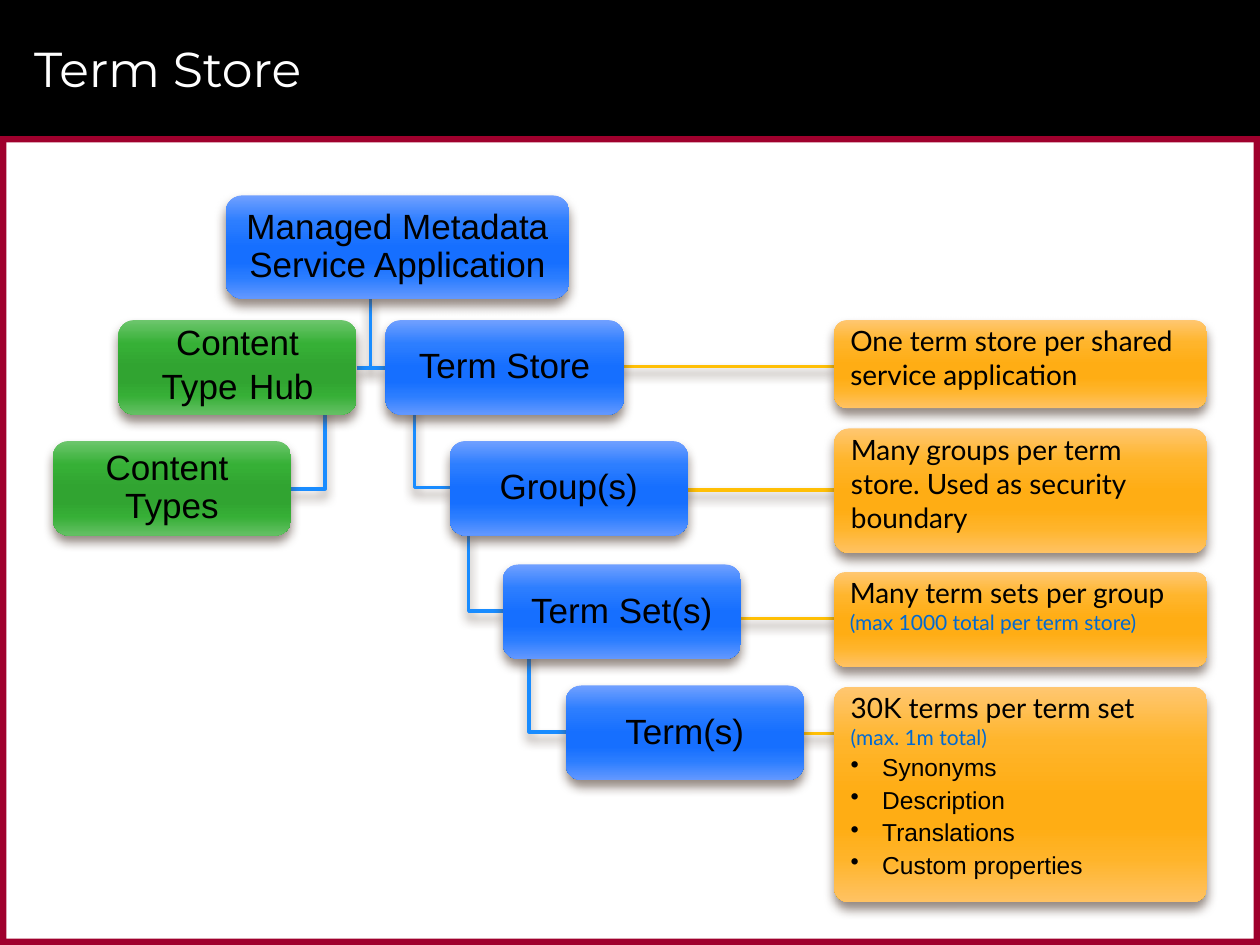
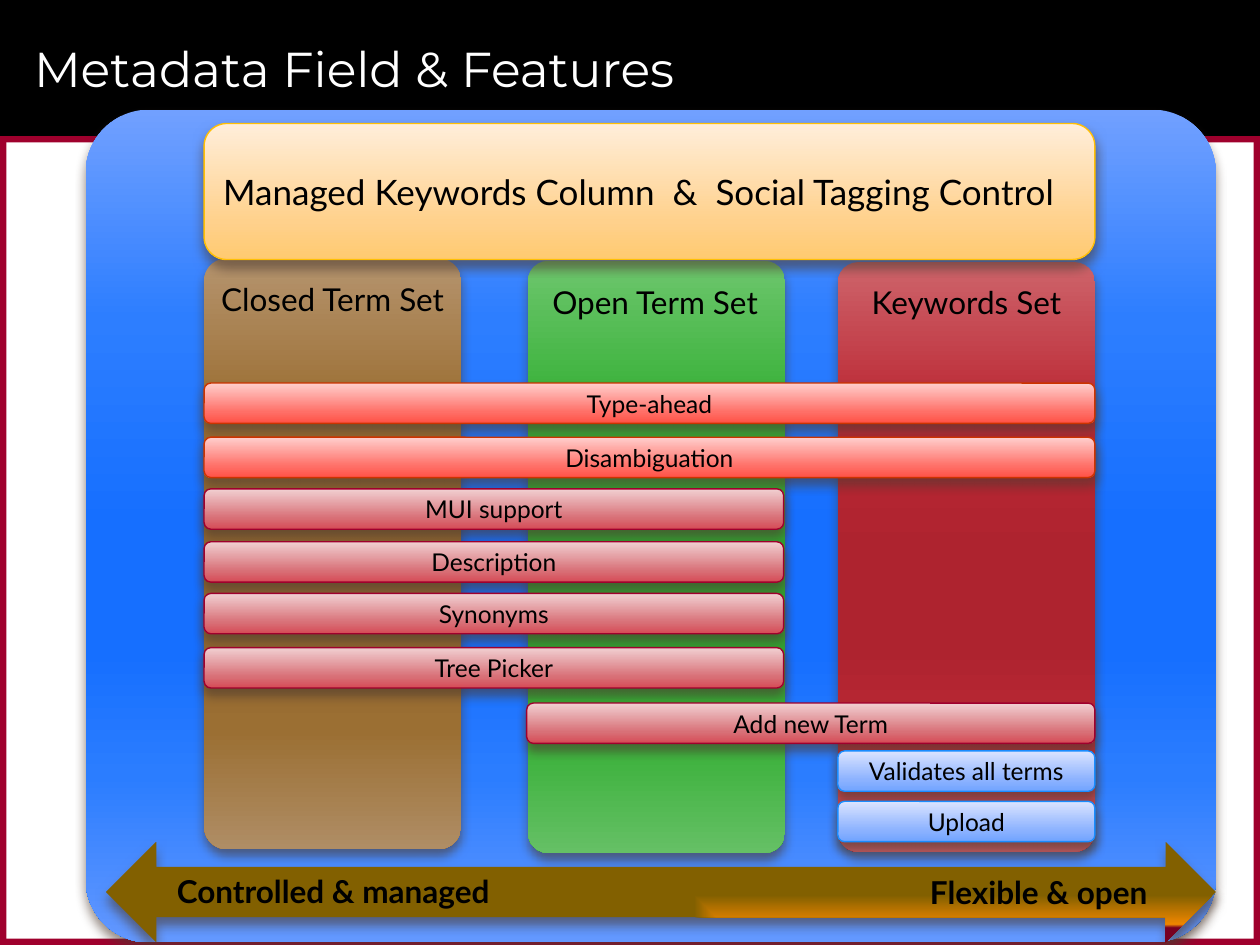
from dataclasses import dataclass
from typing import Optional

import pptx
import pptx.dml.color
import pptx.enum.shapes
import pptx.enum.text
import pptx.oxml.ns
import pptx.util
from lxml import etree

Inches = pptx.util.Inches
Pt = pptx.util.Pt
qn = pptx.oxml.ns.qn
SHAPES = pptx.enum.shapes.MSO_SHAPE
CONNECTORS = pptx.enum.shapes.MSO_CONNECTOR
ALIGN = pptx.enum.text.PP_ALIGN
ANCHOR = pptx.enum.text.MSO_ANCHOR

COLOURS = {
    "black": "000000",
    "white": "FFFFFF",
    "crimson": "9F002D",
    "shadow": "4E3B30",
    "sky": "198CFF",
    "amber": "FFBF05",
    "rust": "CC3300",
    "limit": "0069D2",
}
GRADIENTS = {
    "blue": ("71A0FF", "2D7EFF", "166FFF", "166FFF", "2B7DFF", "6398FF"),
    "green": ("6DC66D", "36B036", "31A431", "31A431", "36AF36", "65C065"),
    "orange": ("FFC771", "FFB52C", "FFAD14", "FFAD14", "FFB42A", "FFC263"),
    "brown": ("B5946E", "9C6F34", "91672F", "91672F", "9B6F33", "AF8D65"),
    "red": ("CE646B", "BB2834", "AE232F", "AE232F", "BA2834", "C95B63"),
    "pale orange": ("FFEEDA", "FFD18C", "FFCA70"),
    "pale red": ("FFCFCD", "FF6F67", "FF5145"),
    "pale crimson": ("F1D0D2", "D87077", "D64B56"),
    "pale blue": ("DBE4FF", "8CB2FF", "71A4FF"),
    "arrow": ("770022", "EE8600", "826000", "826000"),
}
STOPS = {6: (0, 25, 50, 65, 80, 100), 3: (0, 72, 100), 4: (29, 36, 94, 98)}

NODE_W, NODE_H = 1.89, 0.75
NOTE_X, NOTE_W = 6.62, 2.96
COLUMN_W, BAR_H = 2.04, 0.32
CLOSED_X, OPEN_X, KEYWORDS_X = 1.62, 4.18, 6.65
RIGHT_EDGE = 8.69


@dataclass(frozen=True)
class Box:
    x: float
    y: float
    w: float
    h: float
    fill: Optional[str] = None
    text: str = ""
    size: int = 14
    font: str = "Lato"
    line: Optional[str] = None
    adj: Optional[float] = None
    bold: bool = False
    align: ALIGN = ALIGN.CENTER
    inset: float = 0.1
    spacing: Optional[float] = None
    kind: SHAPES = SHAPES.ROUNDED_RECTANGLE


@dataclass(frozen=True)
class Note:
    y: float
    h: float
    adj: float
    text: str
    limit: str = ""
    items: tuple[str, ...] = ()


@dataclass(frozen=True)
class Bar:
    text: str
    y: float
    left: float
    right: float
    fill: str
    line: str


def rgb(name: str) -> pptx.dml.color.RGBColor:
    return pptx.dml.color.RGBColor.from_string(COLOURS[name])


def add_colour(parent, hex_value: str):
    colour = etree.SubElement(parent, qn("a:srgbClr"))
    colour.set("val", hex_value)
    return colour


def add_shadow(drawn) -> None:
    properties = drawn.element.spPr
    effects = properties.find(qn("a:effectLst"))
    if effects is None:
        effects = etree.SubElement(properties, qn("a:effectLst"))
    outer = etree.SubElement(effects, qn("a:outerShdw"))
    settings = {"blurRad": Pt(6), "dist": Pt(4), "dir": 90 * 60000}
    for key, value in settings.items():
        outer.set(key, str(value))
    outer.set("rotWithShape", "0")
    alpha = etree.SubElement(add_colour(outer, COLOURS["shadow"]), qn("a:alpha"))
    alpha.set("val", "60000")


def fill_gradient(shape, name: str) -> None:
    shape.fill.gradient()
    shape.fill.gradient_angle = 270
    gradient = shape.element.spPr.find(qn("a:gradFill"))
    stops = gradient.find(qn("a:gsLst"))
    for stop in list(stops):
        stops.remove(stop)
    colours = GRADIENTS[name]
    for position, hex_value in zip(STOPS[len(colours)], colours):
        stop = etree.SubElement(stops, qn("a:gs"))
        stop.set("pos", str(position * 1000))
        add_colour(stop, hex_value)
    if name == "arrow":
        gradient.remove(gradient.find(qn("a:lin")))
        rays = etree.SubElement(gradient, qn("a:path"))
        rays.set("path", "rect")
        focus = etree.SubElement(rays, qn("a:fillToRect"))
        focus.set("l", "100000")
        focus.set("t", "100000")


def style(paragraph, size: int, font: str, colour: str = "black", bold: bool = False) -> None:
    for run in paragraph.runs:
        run.font.size = Pt(size)
        run.font.name = font
        run.font.bold = bold
        run.font.color.rgb = rgb(colour)


def add_box(slide, box: Box):
    shape = slide.shapes.add_shape(
        box.kind, Inches(box.x), Inches(box.y), Inches(box.w), Inches(box.h))
    shape.shadow.inherit = False
    if box.adj is not None:
        shape.adjustments[0] = box.adj
    if box.fill:
        fill_gradient(shape, box.fill)
        add_shadow(shape)
    else:
        shape.fill.background()
    if box.line:
        shape.line.color.rgb = rgb(box.line)
        shape.line.width = Pt(0.8)
    else:
        shape.line.fill.background()
    frame = shape.text_frame
    frame.margin_left = frame.margin_right = Inches(box.inset)
    frame.margin_top = frame.margin_bottom = Inches(0)
    frame.vertical_anchor = ANCHOR.MIDDLE
    if box.text:
        paragraph = frame.paragraphs[0]
        paragraph.text = box.text
        paragraph.alignment = box.align
        if box.spacing:
            paragraph.line_spacing = box.spacing
        style(paragraph, box.size, box.font, bold=box.bold)
    return shape


def add_node(slide, x: float, y: float, text: str, fill: str = "blue",
             w: float = NODE_W, h: float = NODE_H):
    return add_box(slide, Box(x, y, w, h, fill, text, 20, "Arial", inset=0.01, spacing=0.9))


def add_note(slide, note: Note) -> None:
    shape = add_box(slide, Box(NOTE_X, note.y, NOTE_W, note.h, "orange", note.text, 16,
                               adj=note.adj, align=ALIGN.LEFT))
    frame = shape.text_frame
    frame.vertical_anchor = ANCHOR.TOP
    if note.limit:
        limit = frame.add_paragraph()
        limit.text = note.limit
        limit.alignment = ALIGN.LEFT
        style(limit, 12, "Lato", "limit")
    for text in note.items:
        item = frame.add_paragraph()
        item.text = text
        item.alignment = ALIGN.LEFT
        item.line_spacing = 0.9
        item.space_before = Pt(3.4)
        properties = item._p.get_or_add_pPr()
        properties.set("marL", str(Inches(0.25)))
        properties.set("indent", str(Inches(-0.25)))
        etree.SubElement(properties, qn("a:buChar")).set("char", "•")
        style(item, 14, "Arial")


def add_line(slide, x1: float, y1: float, x2: float, y2: float, colour: str,
             kind: CONNECTORS = CONNECTORS.STRAIGHT):
    line = slide.shapes.add_connector(kind, Inches(x1), Inches(y1), Inches(x2), Inches(y2))
    line.line.color.rgb = rgb(colour)
    line.line.width = Pt(2)
    add_shadow(line)
    return line


def add_elbow(slide, x1: float, y1: float, x2: float, y2: float) -> None:
    length, reach = y2 - y1, abs(x2 - x1)
    left, top = (x1 + x2 - length) / 2, (y1 + y2 - reach) / 2
    elbow = add_line(slide, left, top, left + length, top + reach, "sky", CONNECTORS.ELBOW)
    properties = elbow.element.spPr
    properties.find(qn("a:prstGeom")).set("prst", "bentConnector2")
    frame = properties.find(qn("a:xfrm"))
    turns_right = x2 > x1
    frame.set("rot", str((270 if turns_right else 90) * 60000))
    if turns_right:
        frame.set("flipH", "1")


def add_titled_slide(deck, title: str):
    slide = deck.slides.add_slide(deck.slide_layouts[5])
    heading = slide.shapes.title
    heading.left, heading.top = Inches(0.17), Inches(0.08)
    heading.width, heading.height = Inches(9.42), Inches(0.92)
    heading.text_frame.text = title
    heading.text_frame.vertical_anchor = ANCHOR.MIDDLE
    paragraph = heading.text_frame.paragraphs[0]
    paragraph.alignment = ALIGN.LEFT
    style(paragraph, 28, "Montserrat", "white")
    return slide


def add_master_bands(deck, slide) -> None:
    bands = (
        (0, 0, 10, 1.08, "black"),
        (0, 1.08, 10, 0.05, "crimson"),
        (0, 7.45, 10, 0.05, "crimson"),
        (9.95, 1.08, 0.05, 6.42, "crimson"),
        (0, 1.08, 0.05, 6.42, "crimson"),
    )
    tree = deck.slide_master.element.cSld.spTree
    for index, (x, y, w, h, colour) in enumerate(bands):
        band = slide.shapes.add_shape(
            SHAPES.RECTANGLE, Inches(x), Inches(y), Inches(w), Inches(h))
        band.shadow.inherit = False
        band.fill.solid()
        band.fill.fore_color.rgb = rgb(colour)
        band.line.fill.background()
        band.element.nvSpPr.cNvPr.set("id", str(100 + index))
        tree.insert(2 + index, band.element)


def draw_term_store(slide) -> None:
    add_line(slide, 2.94, 2.35, 2.94, 2.91, "sky")
    add_line(slide, 2.83, 2.92, 3.06, 2.92, "sky")
    for x, y in ((4.58, 2.91), (5.28, 3.89), (5.67, 4.91), (5.98, 5.82)):
        add_line(slide, NOTE_X, y, x, y, "amber")
    for ends in ((3.29, 3.16, 3.57, 3.87), (3.72, 4.23, 3.99, 4.85),
                 (4.2, 5.15, 4.49, 5.81), (2.58, 3.14, 2.31, 3.88)):
        add_elbow(slide, *ends)

    for note in (
        Note(2.54, 0.7, 0.152, "One term store per shared service application"),
        Note(3.4, 0.99, 0.124, "Many groups per term store. Used as security boundary"),
        Note(4.54, 0.75, 0.122, "Many term sets per group", "(max 1000 total per term store)"),
        Note(5.45, 1.71, 0.068, "30K terms per term set", "(max. 1m total)",
             ("Synonyms", "Description", "Translations", "Custom properties")),
    ):
        add_note(slide, note)

    add_node(slide, 1.79, 1.55, "Managed Metadata Service Application", w=2.73, h=0.82)
    for x, y, text in ((3.06, 2.54, "Term Store"), (3.57, 3.5, "Group(s)"),
                       (3.99, 4.48, "Term Set(s)"), (4.49, 5.44, "Term(s)")):
        add_node(slide, x, y, text)
    add_node(slide, 0.42, 3.5, "Content \nTypes", "green")
    hub = add_node(slide, 0.94, 2.54, "Content\nType", "green").text_frame.paragraphs[0]
    for text in (" ", "Hub"):
        hub.add_run().text = text
    style(hub, 20, "Arial")
    hub.runs[2].font.size = Pt(24)


def draw_features(slide) -> None:
    add_box(slide, Box(0.68, 0.87, 8.97, 6.61, "blue", adj=0.076))
    for x, y, h, fill, adj in ((4.19, 2.07, 4.7, "green", 0.079),
                               (CLOSED_X, 2.05, 4.69, "brown", 0.089),
                               (KEYWORDS_X, 2.08, 4.68, "red", 0.079)):
        add_box(slide, Box(x, y, COLUMN_W, h, fill, adj=adj))
    for x, y, text in ((CLOSED_X, 2.19, "Closed Term Set"), (OPEN_X, 2.21, "Open Term Set"),
                       (KEYWORDS_X, 2.21, "Keywords Set")):
        add_box(slide, Box(x, y, COLUMN_W, 0.37, text=text, size=18))

    everywhere = (CLOSED_X, RIGHT_EDGE, "pale red", "rust")
    term_sets = (CLOSED_X, 6.22, "pale crimson", "crimson")
    growing = (OPEN_X, RIGHT_EDGE, "pale crimson", "crimson")
    keywords = (KEYWORDS_X, RIGHT_EDGE, "pale blue", "sky")
    for bar in (
        Bar("Type-ahead", 3.04, *everywhere),
        Bar("Disambiguation", 3.47, *everywhere),
        Bar("MUI support", 3.88, *term_sets),
        Bar("Description", 4.3, *term_sets),
        Bar("Synonyms", 4.71, *term_sets),
        Bar("Tree Picker", 5.14, *term_sets),
        Bar("Add new Term", 5.58, *growing),
        Bar("Validates all terms", 5.96, *keywords),
        Bar("Upload", 6.36, *keywords),
    ):
        add_box(slide, Box(bar.left, bar.y, bar.right - bar.left, BAR_H, bar.fill, bar.text,
                           line=bar.line))

    add_box(slide, Box(0.84, 6.68, 8.81, 0.8, "arrow", kind=SHAPES.LEFT_RIGHT_ARROW))
    for x, y, w, text in ((7.18, 6.92, 2.13, "Flexible & open"),
                          (1.17, 6.91, 2.95, "Controlled & managed")):
        add_box(slide, Box(x, y, w, BAR_H, text=text, size=18, bold=True))
    add_box(slide, Box(CLOSED_X, 0.98, RIGHT_EDGE - CLOSED_X, 1.08, "pale orange",
                       "Managed Keywords Column  &  Social Tagging Control", 20,
                       line="amber", align=ALIGN.LEFT))


def main() -> None:
    deck = pptx.Presentation()
    deck.slide_width, deck.slide_height = Inches(10), Inches(7.5)
    term_store = add_titled_slide(deck, "Term Store")
    add_master_bands(deck, term_store)
    draw_term_store(term_store)
    draw_features(add_titled_slide(deck, "Metadata Field & Features"))
    deck.save("out.pptx")


if __name__ == "__main__":
    main()
